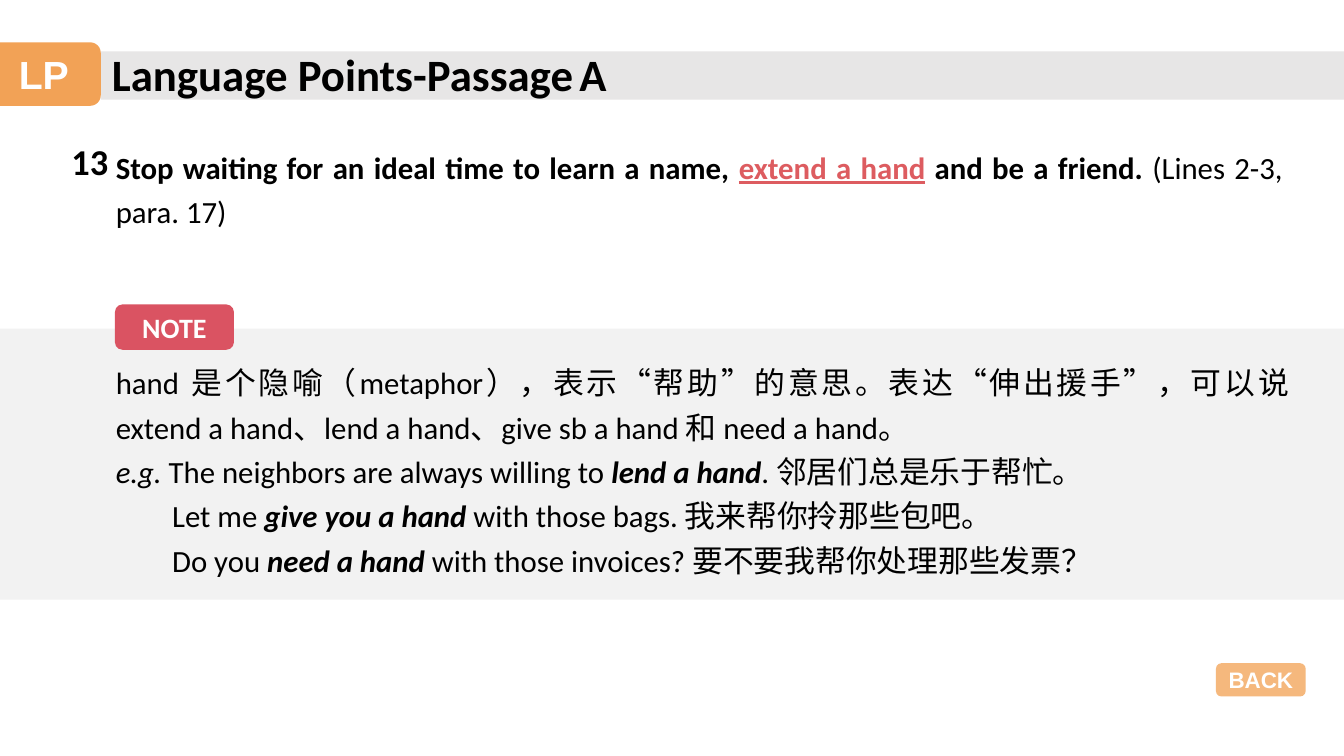
from lxml import etree
from pptx import Presentation
from pptx import util as u
from pptx.dml.color import RGBColor
from pptx.enum import shapes, text
from pptx.oxml import ns

W, H = 13.33, 7.5
BLACK, WHITE, ORANGE, RED, LINK = "000000", "FFFFFF", "F19B48", "DA5362", "DD5C60"


def rgb(value):
    return RGBColor.from_string(value)


def place(sp, box):
    sp.left, sp.top, sp.width, sp.height = (u.Inches(v) for v in box)


def add_block(s, box, fill, kind=shapes.MSO_SHAPE.RECTANGLE, alpha=100):
    sp = s.shapes.add_shape(kind, *(u.Inches(v) for v in box))
    sp.shadow.inherit = False
    sp.fill.solid()
    sp.fill.fore_color.rgb = rgb(fill)
    sp.line.fill.background()
    if alpha < 100:
        clr = sp.fill._xPr.find(".//" + ns.qn("a:srgbClr"))
        etree.SubElement(clr, ns.qn("a:alpha")).set("val", str(alpha * 1000))
    return sp


def add_runs(p, runs, size, font="Calibri"):
    """Each run is (text, style); style letters are b, i, and u for a link colour."""
    for words, style in runs:
        r = p.add_run()
        r.text = words
        f = r.font
        f.name, f.size = font, u.Pt(size)
        f.bold, f.italic = "b" in style, "i" in style
        f.underline = "u" in style
        f.color.rgb = rgb(LINK if "u" in style else BLACK)


def add_label(s, box, label, fill, size, font, alpha=100):
    sp = add_block(s, box, fill, shapes.MSO_SHAPE.ROUNDED_RECTANGLE, alpha)
    tf = sp.text_frame
    tf.word_wrap = False
    tf.vertical_anchor = text.MSO_ANCHOR.MIDDLE
    p = tf.paragraphs[0]
    p.alignment = text.PP_ALIGN.CENTER
    add_runs(p, [(label, "b")], size, font)
    p.runs[0].font.color.rgb = rgb(WHITE)


def add_text(s, box, paragraphs, size=22, spacing=1.2):
    """Each paragraph is (first-line indent in inches, runs)."""
    tf = s.shapes.add_textbox(*(u.Inches(v) for v in box)).text_frame
    tf.word_wrap = True
    for n, (indent, runs) in enumerate(paragraphs):
        p = tf.add_paragraph() if n else tf.paragraphs[0]
        p.alignment = text.PP_ALIGN.JUSTIFY
        p.line_spacing = spacing
        if indent:
            p._p.get_or_add_pPr().set("indent", str(u.Inches(indent)))
        add_runs(p, runs, size)


def add_header(s, box):
    x, y, w, h = box
    tab = 1.0
    add_block(s, (x + tab, y + 0.09, w - tab, 0.48), "E7E6E6")
    add_label(s, (x - 0.13, y, tab + 0.13, h), "LP", ORANGE, 28, "Arial", 92)
    title = s.shapes.title
    place(title, (x + tab + 0.01, y - 0.01, 5.48, h + 0.01))
    s.shapes._spTree.append(title._element)  # in front of the bar
    tf = title.text_frame
    tf.auto_size = text.MSO_AUTO_SIZE.NONE
    tf.vertical_anchor = text.MSO_ANCHOR.TOP
    p = tf.paragraphs[0]
    p.alignment = text.PP_ALIGN.LEFT
    p.line_spacing = 1.0
    add_runs(p, [("Language Points-Passage", "b"), (" ", ""), ("A", "b")], 32)
    p.runs[1].font.size = u.Pt(18)


def add_sentence(s, box, number, runs):
    x, y, w, h = box
    add_text(s, (x - 0.44, y - 0.02, 0.63, 0.54), [(0, [(number, "b")])], 26, 1.0)
    add_text(s, box, [(0, runs)])


def add_note(s, box, margin, paragraphs):
    x, y, w, h = box
    add_block(s, box, "F2F2F2")
    add_text(s, (x + margin, y + 0.23, 11.84, h - 0.4), paragraphs)
    add_label(s, (x + margin + 0.09, y - 0.24, 1.18, 0.45), "NOTE", RED, 20, "Calibri")


def main():
    prs = Presentation()
    prs.slide_width, prs.slide_height = u.Inches(W), u.Inches(H)
    s = prs.slides.add_slide(prs.slide_layouts[5])
    margin, indent = 1.05, 0.56

    add_header(s, (0, 0.42, W, 0.63))
    add_sentence(s, (margin, 1.35, 11.77, 0.96), "13", [
        ("Stop waiting for an ideal time to learn a name, ", "b"),
        ("extend a hand", "bu"),
        (" and be a friend. ", "b"),
        ("(Lines 2-3, para. 17)", ""),
    ])
    add_note(s, (0, 3.26, W, 2.69), margin, [
        (0, [("hand 是个隐喻（metaphor），表示“帮助”的意思。表达“伸出援手”，可以说 "
              "extend a hand、lend a hand、give sb a hand 和 need a hand。", "")]),
        (0, [("e.g. ", "i"), ("The neighbors are always willing to ", ""),
             ("lend a hand", "bi"), (". 邻居们总是乐于帮忙。", "")]),
        (indent, [("Let me ", ""), ("give you a hand", "bi"),
                  (" with those bags. 我来帮你拎那些包吧。", "")]),
        (indent, [("Do you ", ""), ("need a hand", "bi"),
                  (" with those invoices? 要不要我帮你处理那些发票？", "")]),
    ])
    # Return button
    add_label(s, (12.06, 6.58, 0.89, 0.33), "BACK", ORANGE, 16, "Arial", 71)
    prs.save("out.pptx")


if __name__ == "__main__":
    main()
